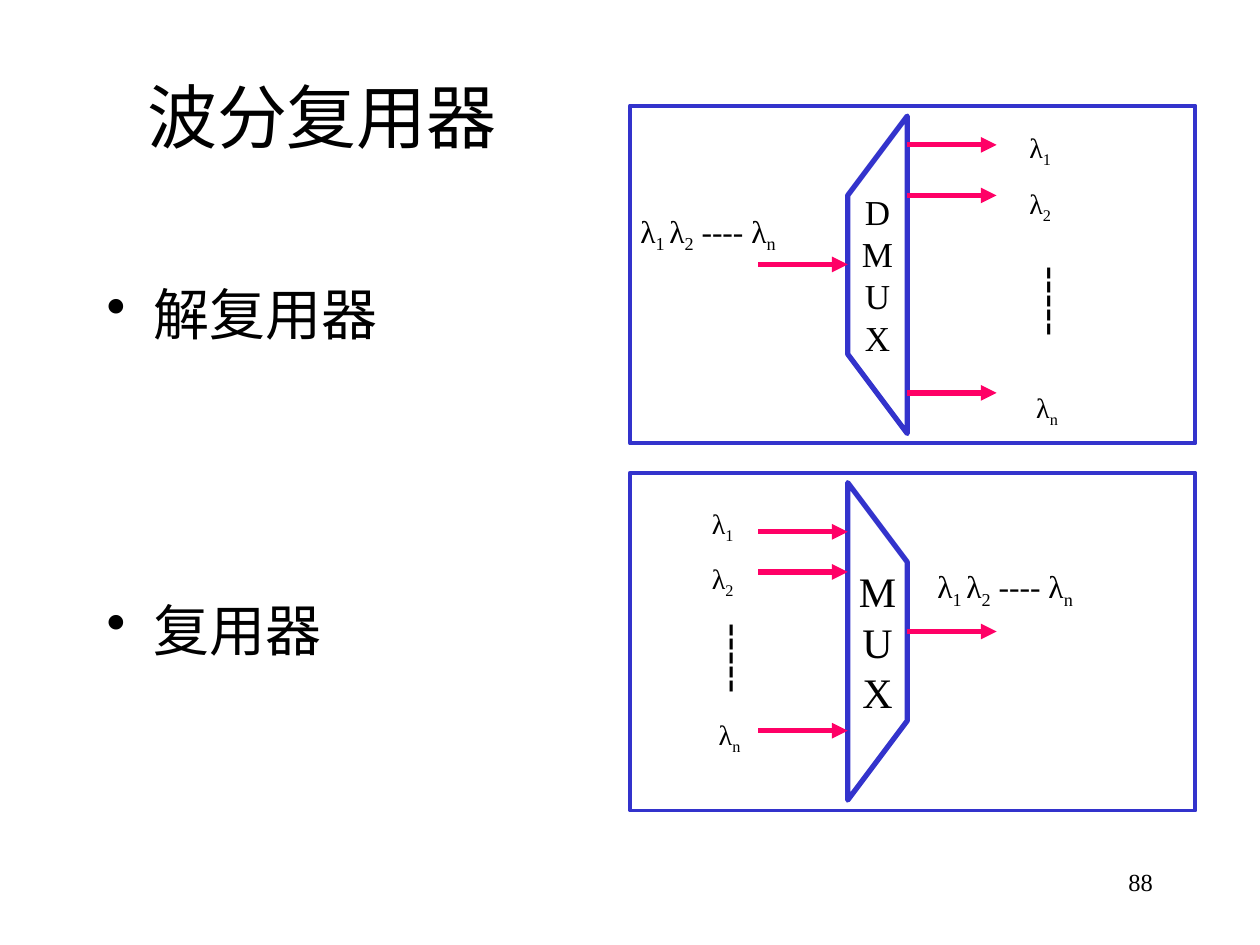
"""Build the slide on wavelength division multiplexers and demultiplexers."""
from lxml.etree import SubElement
from pptx import Presentation
from pptx.dml.color import RGBColor
from pptx.enum.shapes import MSO_CONNECTOR, MSO_SHAPE
from pptx.enum.text import MSO_ANCHOR as Anchor, PP_ALIGN as Align
from pptx.oxml.ns import qn
from pptx.util import Cm, Pt

COLORS = {"text": "000000", "outline": "3333CC", "arrow": "FF0066"}
FONT = "Times New Roman"
BUNDLE = " λ_1 _λ_2_ ---- λ_n"
CHANNELS = ["λ_1", "λ_2", " λ_n"]


def write(frame, lines, size, align=Align.LEFT, gaps=(), bullet=False):
    """Fill a text frame; pieces between underscores alternate with subscripts."""
    for index, line in enumerate(lines):
        para = frame.paragraphs[0] if index == 0 else frame.add_paragraph()
        if bullet:
            props = para._p.get_or_add_pPr()
            props.set("marL", str(Cm(0.95)))
            props.set("indent", str(Cm(-0.95)))
            SubElement(props, qn("a:buChar")).set("char", "•")
        para.alignment = align
        if index and gaps:
            para.space_before = Pt(gaps[index - 1])
        para.font.name = FONT
        para.font.size = Pt(size)
        para.font.color.rgb = RGBColor.from_string(COLORS["text"])
        for position, piece in enumerate(line.split("_")):
            span = para.add_run()
            span.text = piece
            if position % 2:
                span._r.get_or_add_rPr().set("baseline", "-25000")


def add_text(left, top, width, height, lines, size, **options):
    """Add a wrapping text box and return its frame."""
    box = page.shapes.add_textbox(Cm(left), Cm(top), Cm(width), Cm(height))
    box.text_frame.word_wrap = True
    write(box.text_frame, lines, size, **options)
    return box.text_frame


deck = Presentation()
deck.slide_width, deck.slide_height = Cm(25.4), Cm(19.05)
page = deck.slides.add_slide(deck.slide_layouts[6])

add_text(18.21, 17.35, 5.28, 1.27, ["88"], 14, align=Align.RIGHT)
title = add_text(1.09, 1.32, 10.8, 2.03, ["波分复用器"], 40, align=Align.CENTER)
title.vertical_anchor = Anchor.MIDDLE
add_text(1.9, 5.51, 9.6, 11.43, ["解复用器", "复用器"], 32, gaps=[142], bullet=True)

LEFT, RIGHT, REACH = 17.09, 18.29, 1.8
INPUT, OUTPUT = LEFT - REACH, RIGHT
SHORT, LONG = (1.6, 4.8), (0, 6.4)
diagrams = [
    ("DMUX", 20, 2.34, SHORT, LONG, [5.33], [2.92, 3.94, 7.92]),
    ("MUX", 24, 9.73, LONG, SHORT, [10.72, 11.53, 14.73], [12.73]),
]
for name, size, top, left_side, right_side, inputs, outputs in diagrams:
    corners = [(LEFT, left_side[0]), (RIGHT, right_side[0]),
               (RIGHT, right_side[1]), (LEFT, left_side[1])]
    points = [(Cm(x), Cm(top + y)) for x, y in corners]
    builder = page.shapes.build_freeform(*points[0])
    builder.add_line_segments(points[1:], close=True)
    trapezoid = builder.convert_to_shape()
    trapezoid.shadow.inherit = False
    trapezoid.fill.background()
    trapezoid.line.color.rgb = RGBColor.from_string(COLORS["outline"])
    trapezoid.line.width = Pt(3)
    frame = trapezoid.text_frame
    frame.word_wrap = False
    frame.vertical_anchor = Anchor.MIDDLE
    frame.margin_left = frame.margin_right = Cm(0.13)
    write(frame, list(name), size, align=Align.CENTER)

    starts = [(INPUT, y) for y in inputs] + [(OUTPUT, y) for y in outputs]
    for x, y in starts:
        arrow = page.shapes.add_connector(
            MSO_CONNECTOR.STRAIGHT, Cm(x), Cm(y), Cm(x + REACH), Cm(y))
        arrow.line.color.rgb = RGBColor.from_string(COLORS["arrow"])
        arrow.line.width = Pt(3)
        SubElement(arrow.line._get_or_add_ln(), qn("a:tailEnd")).set("type", "triangle")
        SubElement(arrow._element.spPr, qn("a:effectLst"))

add_text(12.5, 4.14, 5, 1.12, [BUNDLE], 18)
add_text(20.5, 2.51, 2.01, 7.49, CHANNELS, 16, gaps=[10, 95])
add_text(18.49, 11.3, 4.6, 1.12, [BUNDLE], 18)
add_text(14.1, 10.08, 2.01, 6.45, CHANNELS, 16, gaps=[10, 67])

for left, top in [(20.4, 5.13), (14, 12.32)]:
    dashes = add_text(left, top, 1.52, 2.21, ["-----"], 24)
    dashes.margin_left = dashes.margin_right = Cm(0.13)
    dashes.margin_top = dashes.margin_bottom = Cm(0.25)
    dashes._txBody.bodyPr.set("vert", "eaVert")

for top in (2.13, 9.53):
    border = page.shapes.add_shape(
        MSO_SHAPE.RECTANGLE, Cm(12.7), Cm(top), Cm(11.4), Cm(6.81))
    border.shadow.inherit = False
    border.fill.background()
    border.line.color.rgb = RGBColor.from_string(COLORS["outline"])
    border.line.width = Pt(2.25)

deck.save("out.pptx")
